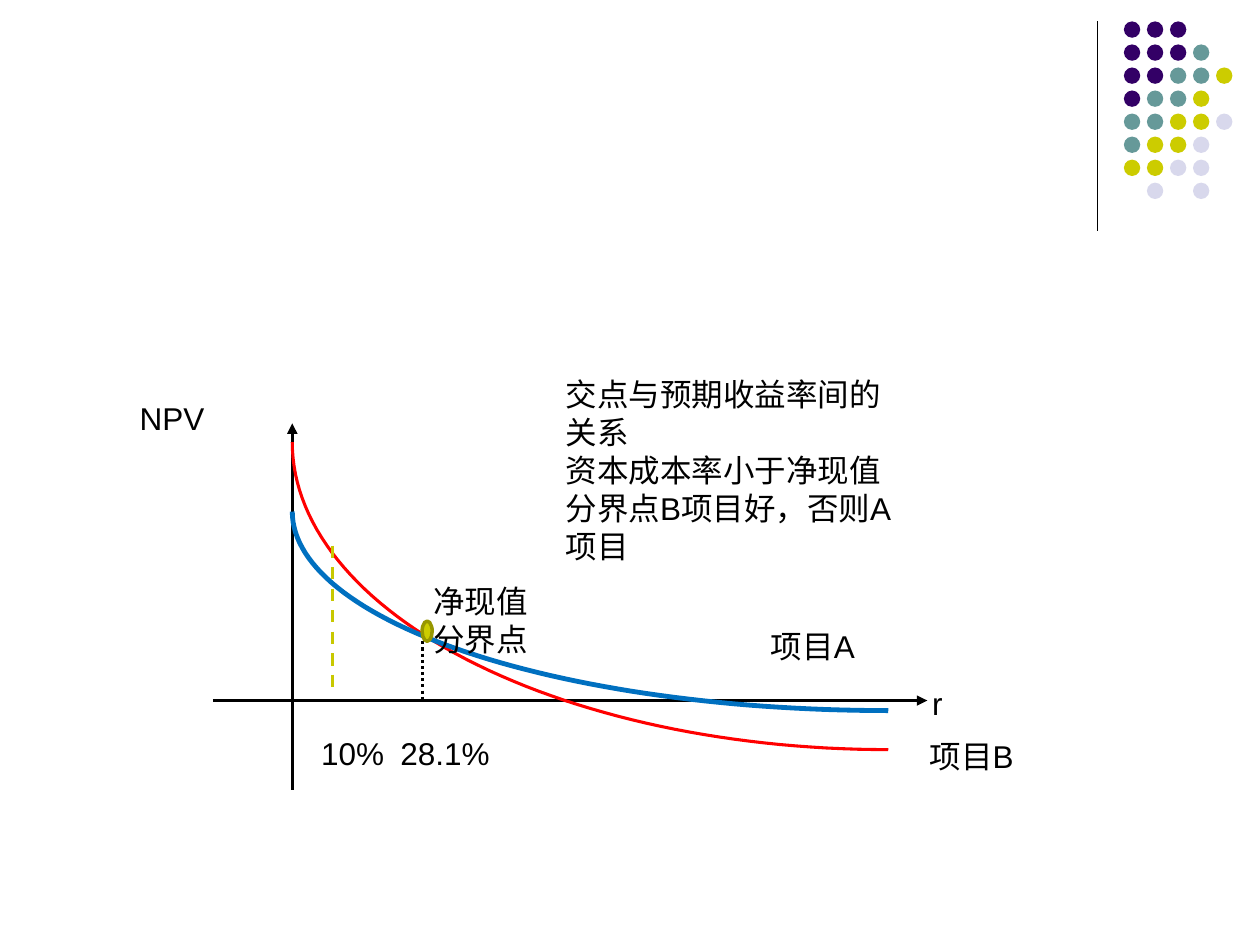
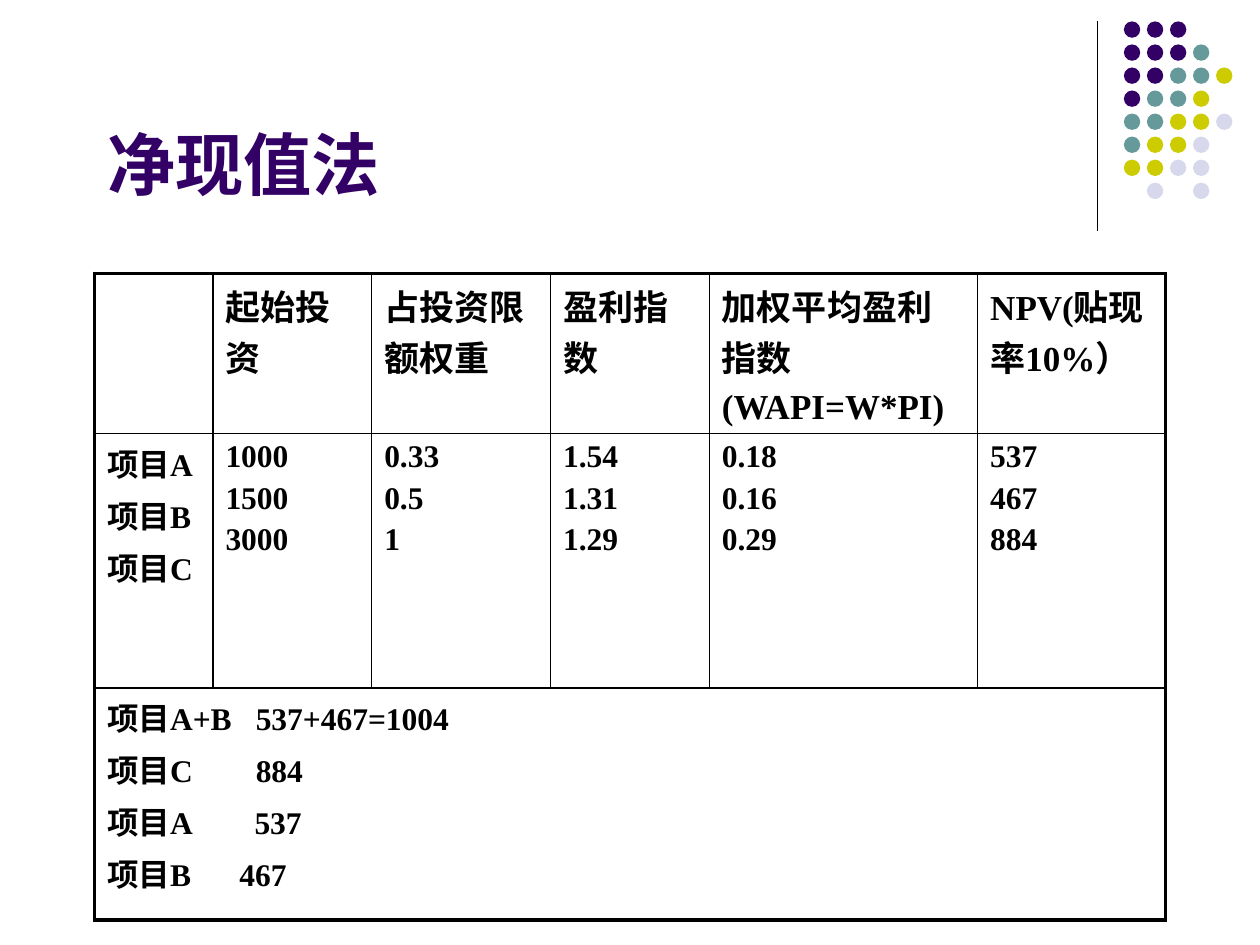
import math

from lxml import etree
from pptx import Presentation
from pptx import util as u
from pptx.dml.color import RGBColor
from pptx.enum import dml, shapes, text
from pptx.oxml import ns

COLORS = {
    "ink": "000000", "purple": "330066", "teal": "669999", "lime": "CCCC00",
    "lavender": "D8D8EC", "olive": "979700", "guide": "C8C800",
    "red": "FF0000", "blue": "0070C0",
}

# Shared corner ornament: one letter per dot, a space for a gap
DOT_ROWS = ["PPP", "PPPT", "PPTTY", "PTTY", "TTYYL", "TYYL", "YYLL", " L L"]
DOT_COLORS = {"P": "purple", "T": "teal", "Y": "lime", "L": "lavender"}
DOT_ORIGIN, DOT_SIZE, DOT_PITCH = (8.92, 0.17), 0.13, 1.28 / 7

# Slide 1: from, to, colour, width, dash, arrow
AXES = [
    ((1.69, 5.56), (7.36, 5.56), "ink", 2, None, True),
    ((2.32, 6.27), (2.32, 3.36), "ink", 2, None, True),
]
GUIDES = [
    ((3.35, 5.09), (3.35, 5.56), "ink", 1.75, dml.MSO_LINE.ROUND_DOT, False),
    ((2.64, 4.33), (2.64, 5.48), "guide", 1.75, dml.MSO_LINE.DASH, False),
]
# left, top, width, height, colour, line width
NPV_CURVES = [
    (2.32, 3.51, 4.73, 2.44, "red", 1.75),
    (2.32, 4.06, 4.73, 1.58, "blue", 2.75),
]
CROSSING = (3.35, 4.93, 0.08, 0.16)
CURVE_STEPS = 60
RATE_TAB = 0.63
CHART_LABELS = [
    ((2.45, 5.78, 2.06, 0.4), ["10%\t28.1%"]),
    ((6.02, 4.93, 1.18, 0.4), ["项目A"]),
    ((7.28, 5.8, 1.1, 0.4), ["项目B"]),
    ((4.39, 2.93, 2.89, 1.61),
     ["交点与预期收益率间的关系", "资本成本率小于净现值分界点B项目好，否则A项目"]),
    ((1.01, 3.12, 1.08, 0.4), ["NPV"]),
    ((7.3, 5.38, 1.16, 0.4), ["r"]),
    ((3.34, 4.57, 1.03, 0.7), ["净现值分界点"]),
]

# Slide 2
TITLE = "净现值法"
TITLE_BOX = (0.75, 0.67, 8.5, 1.25)
TABLE_BOX = (0.75, 2.17, 8.5, 5.03)
COLUMN_WIDTHS = [0.94, 1.26, 1.42, 1.26, 2.13, 1.49]
ROW_HEIGHTS = [1.17, 2.02, 1.84]
HEADINGS = [[], ["起始投资"], ["占投资限额权重"], ["盈利指数"],
            ["加权平均盈利指数", "(WAPI=W*PI)"], ["NPV(贴现率10%）"]]
PROJECTS = [
    ["项目A", "项目B", "项目C"], ["1000", "1500", "3000"], ["0.33", "0.5", "1"],
    ["1.54", "1.31", "1.29"], ["0.18", "0.16", "0.29"], ["537", "467", "884"],
]
# label, value, tab position of the value
COMBINATIONS = [("项目A+B", "537+467=1004", 1.18), ("项目C", "884", 1.18),
                ("项目A", "537", 1.17), ("项目B", "467", 1.05)]
OUTER_BORDER, INNER_BORDER = 2.25, 1

LABEL_FONT = {"name": "Arial", "size": u.Pt(18), "bold": False}
TITLE_FONT = {"name": "Arial", "size": u.Pt(39), "bold": True}
HEADING_FONT = {"name": "Times New Roman", "size": u.Pt(20), "bold": True}
CELL_FONT = HEADING_FONT | {"size": u.Pt(18)}


def rgb(color):
    return RGBColor.from_string(COLORS[color])


def inches(values):
    return [u.Inches(value) for value in values]


def set_font(paragraph, font_format, color="ink"):
    for attribute, value in font_format.items():
        setattr(paragraph.font, attribute, value)
    paragraph.font.color.rgb = rgb(color)


def add_tab(paragraph, position):
    properties = paragraph._p.get_or_add_pPr()
    tabs = etree.SubElement(properties, ns.qn("a:tabLst"))
    etree.SubElement(tabs, ns.qn("a:tab"), pos=str(u.Inches(position)), algn="l")


def fill_text(frame, lines, font_format, space=0, tabs=()):
    """Write one paragraph per line; space is a share of the font size."""
    for index, line in enumerate(lines):
        paragraph = frame.add_paragraph() if index else frame.paragraphs[0]
        paragraph.text = line
        if index and space:
            paragraph.space_before = u.Pt(round(font_format["size"].pt * space, 1))
        if tabs:
            add_tab(paragraph, tabs[index])
        set_font(paragraph, font_format)


def set_line(line, color, width):
    line.color.rgb = rgb(color)
    line.width = u.Pt(width)


def add_line(parent, start, end, color, width, dash=None, arrow=False):
    line = parent.add_connector(shapes.MSO_CONNECTOR.STRAIGHT, *inches(start + end))
    set_line(line.line, color, width)
    if dash:
        line.line.dash_style = dash
    if arrow:
        etree.SubElement(line.line._get_or_add_ln(), ns.qn("a:tailEnd"), type="triangle")
    etree.SubElement(line.element.spPr, ns.qn("a:effectLst"))


def add_dot(parent, box, fill, outline=None):
    dot = parent.add_shape(shapes.MSO_SHAPE.OVAL, *inches(box))
    dot.shadow.inherit = False
    dot.fill.solid()
    dot.fill.fore_color.rgb = rgb(fill)
    if outline:
        set_line(dot.line, outline, 2)
    else:
        dot.line.fill.background()


def add_ornament(slide, master):
    """Draw the rule and dots as one group and move it to the master."""
    ornament = slide.shapes.add_group_shape()
    add_line(ornament.shapes, (8.71, 0.17), (8.71, 1.83), "ink", 0.75)
    left, top = DOT_ORIGIN
    for row, letters in enumerate(DOT_ROWS):
        for column, letter in enumerate(letters):
            if letter in DOT_COLORS:
                box = (left + column * DOT_PITCH, top + row * DOT_PITCH, DOT_SIZE, DOT_SIZE)
                add_dot(ornament.shapes, box, DOT_COLORS[letter])
    for number, properties in enumerate(ornament.element.xpath(".//p:cNvPr"), 100):
        properties.set("id", str(number))
    master.shapes.element.append(ornament.element)


def add_npv_curve(slide, left, top, width, height, color, weight):
    """Draw a quarter ellipse falling from the upper left and flattening out."""
    angles = [math.pi / 2 * step / CURVE_STEPS for step in range(CURVE_STEPS + 1)]
    points = [inches((left + width * (1 - math.cos(a)), top + height * math.sin(a)))
              for a in angles]
    builder = slide.shapes.build_freeform(*points[0])
    builder.add_line_segments(points[1:], close=False)
    curve = builder.convert_to_shape()
    curve.shadow.inherit = False
    curve.fill.background()
    set_line(curve.line, color, weight)


def add_label(slide, box, lines):
    frame = slide.shapes.add_textbox(*inches(box)).text_frame
    frame.word_wrap = True
    tabs = [RATE_TAB] if "\t" in lines[0] else ()
    fill_text(frame, lines, LABEL_FONT, tabs=tabs)


def build_crossing_slide(slide):
    for axis in AXES:
        add_line(slide.shapes, *axis)
    for curve in NPV_CURVES:
        add_npv_curve(slide, *curve)
    for guide in GUIDES:
        add_line(slide.shapes, *guide)
    add_dot(slide.shapes, CROSSING, "lime", "olive")
    for box, lines in CHART_LABELS:
        add_label(slide, box, lines)


def add_borders(cell, edges):
    """Edges maps a side letter (L, R, T, B) to whether it is on the outside."""
    properties = cell._tc.get_or_add_tcPr()
    for side, outside in edges.items():
        width = u.Pt(OUTER_BORDER if outside else INNER_BORDER)
        line = etree.SubElement(properties, ns.qn(f"a:ln{side}"), w=str(width))
        fill = etree.SubElement(line, ns.qn("a:solidFill"))
        etree.SubElement(fill, ns.qn("a:srgbClr"), val=COLORS["ink"])


def add_project_table(slide):
    rows, columns = len(ROW_HEIGHTS), len(COLUMN_WIDTHS)
    table = slide.shapes.add_table(rows, columns, *inches(TABLE_BOX)).table
    table.first_row = table.horz_banding = False
    for column, width in zip(table.columns, COLUMN_WIDTHS):
        column.width = u.Inches(width)
    for row, height in zip(table.rows, ROW_HEIGHTS):
        row.height = u.Inches(height)
    table.cell(rows - 1, 0).merge(table.cell(rows - 1, columns - 1))

    for row in range(rows):
        for column in range(columns):
            cell = table.cell(row, column)
            if not cell.is_spanned:
                add_borders(cell, {"L": column == 0,
                                   "R": column + cell.span_width == columns,
                                   "T": row == 0, "B": row == rows - 1})
            cell.fill.background()

    for row, (contents, font) in enumerate([(HEADINGS, HEADING_FONT), (PROJECTS, CELL_FONT)]):
        for column, lines in enumerate(contents):
            fill_text(table.cell(row, column).text_frame, lines, font, space=0.2)
    fill_text(table.cell(rows - 1, 0).text_frame,
              [f"{label}\t{value}" for label, value, _ in COMBINATIONS], CELL_FONT,
              space=0.2, tabs=[tab for _, _, tab in COMBINATIONS])


def build_table_slide(slide):
    title = slide.shapes.title
    title.left, title.top, title.width, title.height = inches(TITLE_BOX)
    title.text_frame.text = TITLE
    title.text_frame.vertical_anchor = text.MSO_ANCHOR.MIDDLE
    heading = title.text_frame.paragraphs[0]
    heading.alignment = text.PP_ALIGN.LEFT
    set_font(heading, TITLE_FONT, "purple")
    add_project_table(slide)


def main():
    deck = Presentation()
    deck.slide_width, deck.slide_height = inches((10, 7.5))
    layouts = deck.slide_layouts
    crossing = deck.slides.add_slide(layouts.get_by_name("Blank"))
    add_ornament(crossing, deck.slide_master)
    build_crossing_slide(crossing)
    build_table_slide(deck.slides.add_slide(layouts.get_by_name("Title Only")))
    deck.save("out.pptx")


if __name__ == "__main__":
    main()
